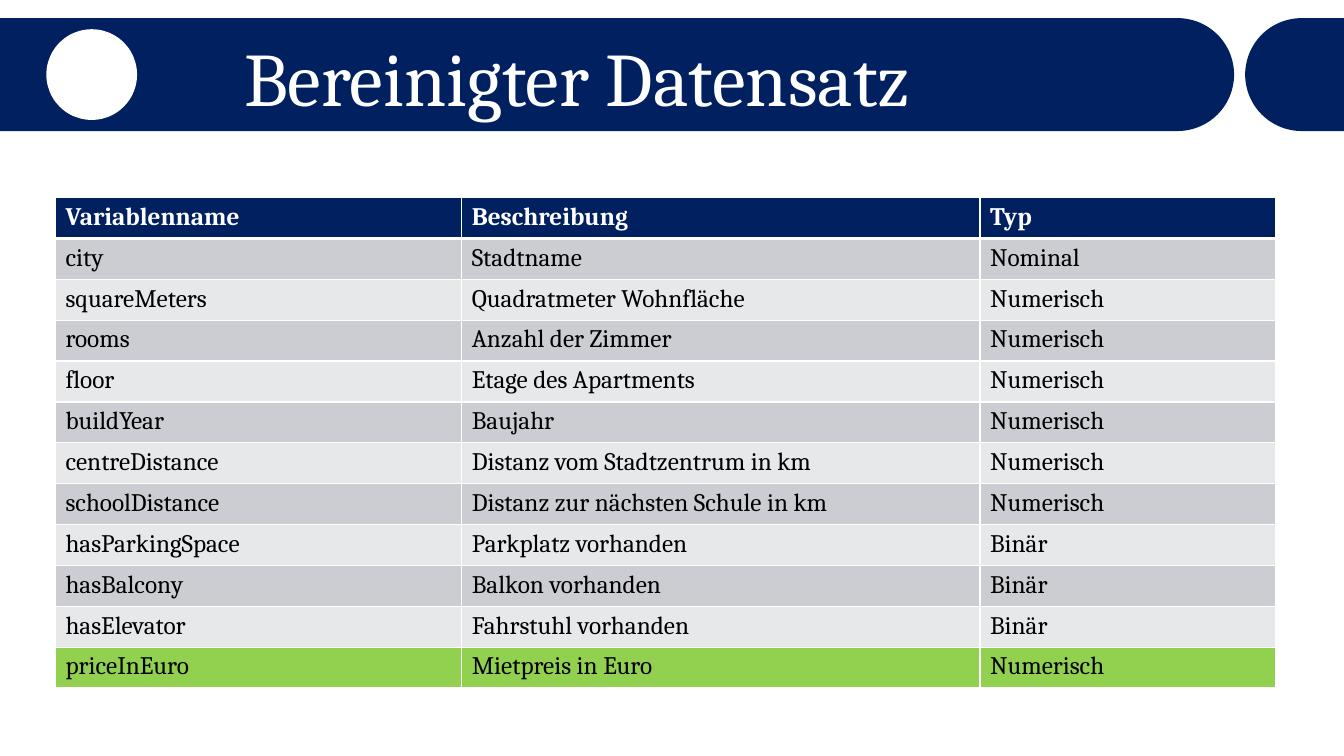
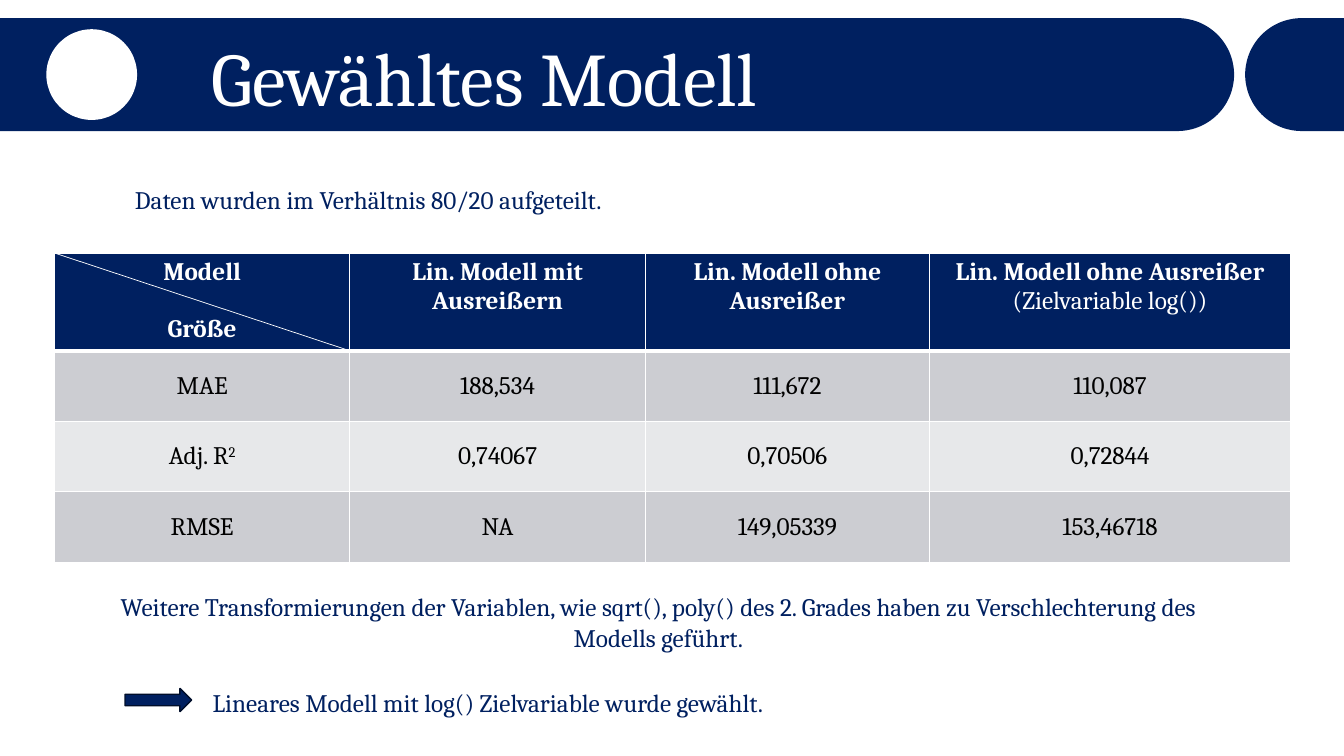
import math
from dataclasses import dataclass

from lxml import etree
from pptx import Presentation
from pptx import util as u
from pptx.dml.color import RGBColor
from pptx.enum import shapes, text
from pptx.oxml import ns


@dataclass(frozen=True)
class Theme:
    font: str = "Cambria"
    navy: str = "002060"
    outline: str = "000E2A"
    white: str = "FFFFFF"
    black: str = "000000"
    bands: tuple = ("CCCDD2", "E7E8EA")
    target: str = "92D050"
    title_size: int = 54
    body_size: int = 18
    grid: int = 1
    header_rule: int = 3


THEME = Theme()
SLIDE_W, SLIDE_H = 13.33, 7.5
BAND_TOP, BAND_BOTTOM = 0.18, 1.3


def rgb(value):
    return RGBColor.from_string(value)


def round_ended_band(flat_x, round_x):
    """Outline of a band with a semicircle at round_x."""
    radius = (BAND_BOTTOM - BAND_TOP) / 2
    side = 1 if round_x > flat_x else -1
    centre_x, centre_y = round_x - side * radius, BAND_TOP + radius
    angles = [math.radians(a) for a in range(-90, 91, 3)]
    arc = [(centre_x + side * radius * math.cos(a),
            centre_y + radius * math.sin(a)) for a in angles]
    return [(flat_x, BAND_TOP), *arc, (flat_x, BAND_BOTTOM)]


class Deck:
    def __init__(self, theme):
        self.theme = theme
        self.prs = Presentation()
        self.prs.slide_width = u.Inches(SLIDE_W)
        self.prs.slide_height = u.Inches(SLIDE_H)
        self.slide = None

    def new_slide(self, title, left, width):
        layout = self.prs.slide_layouts.get_by_name("Title Only")
        self.slide = self.prs.slides.add_slide(layout)
        self.header()
        self.title(title, left, width)

    def header(self):
        self.outline(round_ended_band(0, 12.24), self.theme.navy)
        self.outline(round_ended_band(SLIDE_W, 12.35), self.theme.navy)
        self.preset(shapes.MSO_SHAPE.OVAL, 0.46, 0.29, 0.9, 0.9, self.theme.white)

    def title(self, wording, left, width):
        title = self.slide.shapes.title
        title.left, title.top = u.Inches(left), u.Inches(0.42)
        title.width, title.height = u.Inches(width), u.Inches(0.79)
        frame = title.text_frame
        frame.text = wording
        frame.word_wrap = True
        frame.auto_size = text.MSO_AUTO_SIZE.NONE
        frame.vertical_anchor = text.MSO_ANCHOR.MIDDLE
        line = frame.paragraphs[0]
        line.line_spacing = 0.9
        line.space_before = u.Pt(10)
        self.style(line, self.theme.white, size=self.theme.title_size)
        # Bring the title in front of the header band
        self.slide.shapes._spTree.append(title._element)

    def style(self, paragraph, color, size=None, bold=False,
              align=text.PP_ALIGN.LEFT):
        paragraph.alignment = align
        font = paragraph.font
        font.name = self.theme.font
        font.size = u.Pt(size or self.theme.body_size)
        font.bold = bold
        font.color.rgb = rgb(color)

    def outline(self, points, fill):
        start, *others = [(u.Inches(x), u.Inches(y)) for x, y in points]
        builder = self.slide.shapes.build_freeform(*start)
        builder.add_line_segments(others, close=True)
        self.paint(builder.convert_to_shape(), fill)

    def preset(self, kind, left, top, width, height, fill, line=None):
        shape = self.slide.shapes.add_shape(
            kind, u.Inches(left), u.Inches(top), u.Inches(width), u.Inches(height))
        self.paint(shape, fill, line)

    def paint(self, shape, fill, line=None):
        shape.shadow.inherit = False
        shape.fill.solid()
        shape.fill.fore_color.rgb = rgb(fill)
        if line:
            shape.line.color.rgb = rgb(line)
            shape.line.width = u.Pt(1)
        else:
            shape.line.fill.background()

    def note(self, wording, left, top, width, height,
             align=text.PP_ALIGN.LEFT):
        box = self.slide.shapes.add_textbox(
            u.Inches(left), u.Inches(top), u.Inches(width), u.Inches(height))
        box.text_frame.word_wrap = True
        box.text_frame.text = wording
        self.style(box.text_frame.paragraphs[0], self.theme.navy, align=align)

    def line(self, start, end):
        line = self.slide.shapes.add_connector(
            shapes.MSO_CONNECTOR.STRAIGHT, *map(u.Inches, start + end))
        line.line.color.rgb = rgb(self.theme.white)
        line.line.width = u.Pt(0.5)
        etree.SubElement(line._element.spPr, ns.qn("a:effectLst"))

    def table(self, rows, left, top, widths, heights,
              align=text.PP_ALIGN.LEFT, anchor=text.MSO_ANCHOR.TOP):
        """Banded table; align holds for all cells, anchor for the body."""
        table = self.slide.shapes.add_table(
            len(rows), len(widths), u.Inches(left), u.Inches(top),
            u.Inches(sum(widths)), u.Inches(sum(heights))).table
        table.horz_banding = False
        for column, width in zip(table.columns, widths):
            column.width = u.Inches(width)
        for r, (row, height) in enumerate(zip(rows, heights)):
            table.rows[r].height = u.Inches(height)
            is_header = r == 0
            fill = self.theme.navy if is_header else self.theme.bands[(r - 1) % 2]
            color = self.theme.white if is_header else self.theme.black
            for c, wording in enumerate(row):
                cell = table.cell(r, c)
                cell.text = wording
                cell.vertical_anchor = text.MSO_ANCHOR.TOP if is_header else anchor
                for paragraph in cell.text_frame.paragraphs:
                    self.style(paragraph, color, bold=is_header, align=align)
                self.fill_cell(cell, fill)
                self.border_cell(cell, r)
        return table

    def fill_cell(self, cell, fill):
        cell.fill.solid()
        cell.fill.fore_color.rgb = rgb(fill)

    def border_cell(self, cell, row):
        widths = dict.fromkeys(("lnL", "lnR", "lnT", "lnB"), self.theme.grid)
        if row < 2:
            widths["lnB" if row == 0 else "lnT"] = self.theme.header_rule
        properties = cell._tc.get_or_add_tcPr()
        for i, (side, width) in enumerate(widths.items()):
            edge = etree.Element(ns.qn("a:" + side), w=str(u.Pt(width)))
            solid = etree.SubElement(edge, ns.qn("a:solidFill"))
            etree.SubElement(solid, ns.qn("a:srgbClr"), val=self.theme.white)
            properties.insert(i, edge)


def dataset_slide(deck):
    deck.new_slide("Bereinigter Datensatz", 2.32, 8.98)
    variables = [
        ("Variablenname", "Beschreibung", "Typ"),
        ("city", "Stadtname", "Nominal"),
        ("squareMeters", "Quadratmeter Wohnfläche", "Numerisch"),
        ("rooms", "Anzahl der Zimmer", "Numerisch"),
        ("floor", "Etage des Apartments", "Numerisch"),
        ("buildYear", "Baujahr", "Numerisch"),
        ("centreDistance", "Distanz vom Stadtzentrum in km", "Numerisch"),
        ("schoolDistance", "Distanz zur nächsten Schule in km", "Numerisch"),
        ("hasParkingSpace", "Parkplatz vorhanden", "Binär"),
        ("hasBalcony", "Balkon vorhanden", "Binär"),
        ("hasElevator", "Fahrstuhl vorhanden", "Binär"),
        ("priceInEuro", "Mietpreis in Euro", "Numerisch"),
    ]
    count = len(variables)
    table = deck.table(variables, 0.55, 1.96, [4.03, 5.14, 2.93],
                       [4.87 / count] * count)
    # Highlight the target variable
    for cell in table.rows[count - 1].cells:
        deck.fill_cell(cell, deck.theme.target)


def model_slide(deck):
    deck.new_slide("Gewähltes Modell", 2, 9.85)
    scores = [
        ("Modell\nGröße", "Lin. Modell mit Ausreißern",
         "Lin. Modell ohne Ausreißer",
         "Lin. Modell ohne Ausreißer\n(Zielvariable log())"),
        ("MAE", "188,534", "111,672", "110,087"),
        ("Adj. R", "0,74067", "0,70506", "0,72844"),
        ("RMSE", "NA", "149,05339", "153,46718"),
    ]
    left, top = 0.54, 2.51
    widths, heights = [2.93, 2.93, 2.82, 3.58], [0.97] + [0.7] * 3
    table = deck.table(scores, left, top, widths, heights,
                       text.PP_ALIGN.CENTER, text.MSO_ANCHOR.MIDDLE)

    # Split corner cell, plain second header line, superscript
    size_label = table.cell(0, 0).text_frame.paragraphs[1]
    size_label.space_before = u.Pt(20)
    deck.line((left + widths[0], top + heights[0]), (left, top))
    table.cell(0, 3).text_frame.paragraphs[1].font.bold = False
    exponent = table.cell(2, 0).text_frame.paragraphs[0].add_run()
    exponent.text = "2"
    exponent.font._element.set("baseline", "30000")

    # Notes around the table
    deck.note("Daten wurden im Verhältnis 80/20 aufgeteilt.", 1.24, 1.78, 10.62, 0.4)
    deck.note("Weitere Transformierungen der Variablen, wie sqrt(), poly() des 2. "
              "Grades haben zu Verschlechterung des Modells geführt.",
              0.77, 5.82, 11.52, 0.71, text.PP_ALIGN.CENTER)
    deck.preset(shapes.MSO_SHAPE.RIGHT_ARROW, 1.24, 6.83, 0.66, 0.23,
                deck.theme.navy, deck.theme.outline)
    deck.note("Lineares Modell mit log() Zielvariable wurde gewählt.",
              2.01, 6.77, 10.62, 0.4)


def main():
    deck = Deck(THEME)
    dataset_slide(deck)
    model_slide(deck)
    deck.prs.save("out.pptx")


if __name__ == "__main__":
    main()
